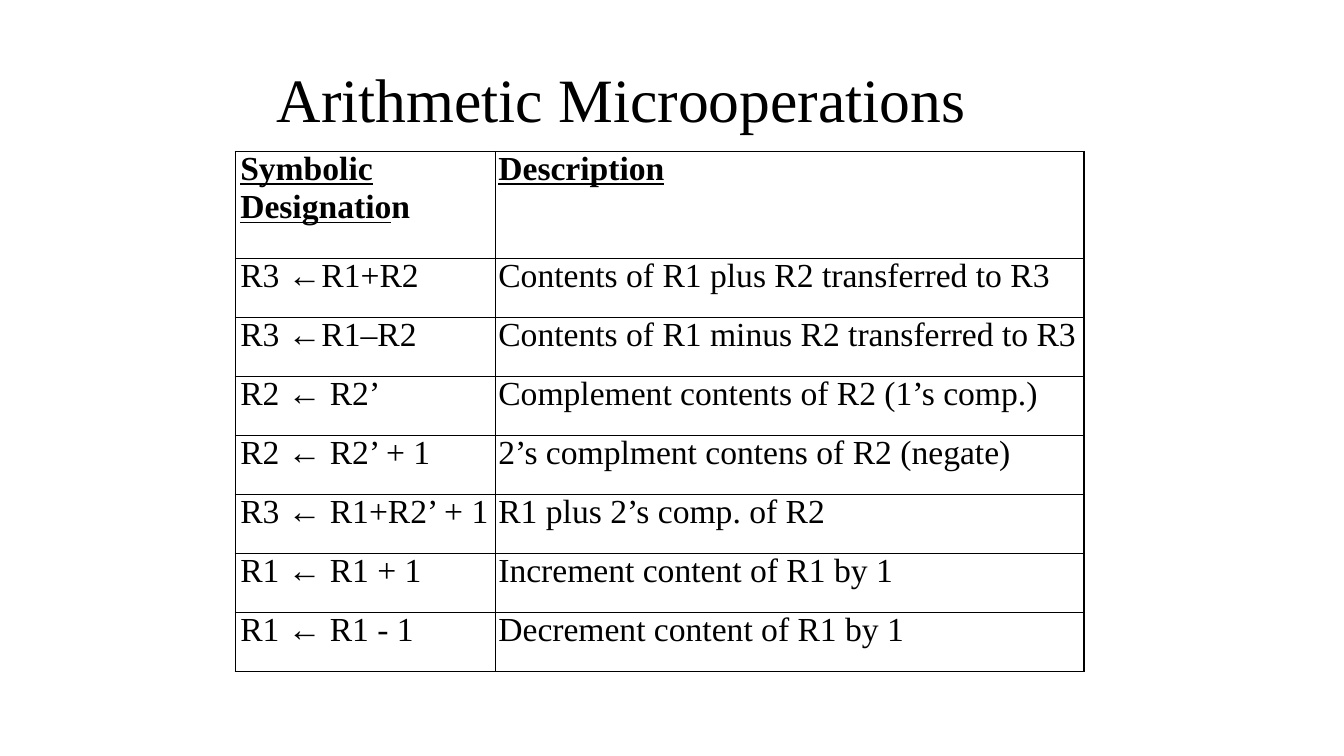
from lxml import etree
from pptx import Presentation
from pptx import util as u
from pptx.dml import color
from pptx.enum import text
from pptx.oxml import ns

FONT = "Times New Roman"
BLACK = "000000"
HEADER_HEIGHT, ROW_HEIGHT = 76.3, 42.2
COLUMN_WIDTHS = (185.8, 420.5)
COLUMN_INDENTS = (3.6, 2.2)
HEADERS = ("Symbolic\nDesignation", "Description")
OPERATIONS = (
    ("R3 ←R1+R2", "Contents of R1 plus R2 transferred to R3"),
    ("R3 ←R1–R2", "Contents of R1 minus R2 transferred to R3"),
    ("R2 ← R2’", "Complement contents of R2 (1’s comp.)"),
    ("R2 ← R2’ + 1", "2’s complment contens of R2 (negate)"),
    ("R3 ← R1+R2’ + 1", "R1 plus 2’s comp. of R2"),
    ("R1 ← R1 + 1", "Increment content of R1 by 1"),
    ("R1 ← R1 - 1", "Decrement content of R1 by 1"),
)


def set_color(target, hex_color):
    """Apply a hex colour to a font or a solid fill."""
    color_format = target.color if hasattr(target, "color") else target.fore_color
    color_format.rgb = color.RGBColor.from_string(hex_color)


def format_font(font, size):
    """Give a font the typeface, size and colour of the slide."""
    font.name, font.size = FONT, u.Pt(size)
    set_color(font, BLACK)


def add_title(slide, left, top, width, height):
    """Add the centred slide title."""
    frame = slide.shapes.add_textbox(u.Pt(left), u.Pt(top), u.Pt(width), u.Pt(height)).text_frame
    frame.word_wrap = True
    frame.vertical_anchor = text.MSO_ANCHOR.MIDDLE
    frame.margin_top = u.Pt(10.8)
    frame.text = "Arithmetic Microoperations"
    paragraph = frame.paragraphs[0]
    paragraph.alignment = text.PP_ALIGN.CENTER
    format_font(paragraph.runs[0].font, 44)


def add_borders(cell):
    """Draw a thin line on every side of a cell."""
    properties = cell._tc.get_or_add_tcPr()
    for side in ("lnL", "lnR", "lnT", "lnB"):
        line = etree.SubElement(properties, ns.qn(f"a:{side}"), w=str(u.Pt(0.96)))
        fill = etree.SubElement(line, ns.qn("a:solidFill"))
        etree.SubElement(fill, ns.qn("a:srgbClr"), val=BLACK)


def fill_cell(cell, content, indent, is_header):
    """Write and format the text of one cell."""
    add_borders(cell)
    cell.fill.background()
    cell.margin_left, cell.margin_top = u.Pt(indent), u.Pt(0.8)
    cell.margin_right = cell.margin_bottom = 0
    cell.text_frame.text = content
    for index, paragraph in enumerate(cell.text_frame.paragraphs):
        paragraph.line_spacing = 0.93
        if index:
            paragraph.space_before = u.Pt(2.9)
        for run in paragraph.runs:
            format_font(run.font, 24)
            run.font.bold = run.font.underline = is_header


def split_last_letter(paragraph):
    """Move the last letter into a bold run without underline."""
    underlined = paragraph.runs[0]
    last = paragraph.add_run()
    last.text = underlined.text[-1]
    underlined.text = underlined.text[:-1]
    format_font(last.font, 24)
    last.font.bold, last.font.underline = True, False


def add_operations_table(slide, left, top):
    """Add the table of microoperations at the given corner."""
    rows = (HEADERS, *OPERATIONS)
    width, height = sum(COLUMN_WIDTHS), HEADER_HEIGHT + ROW_HEIGHT * len(OPERATIONS)
    table = slide.shapes.add_table(
        len(rows), len(HEADERS), u.Pt(left), u.Pt(top), u.Pt(width), u.Pt(height)
    ).table
    table.first_row = table.horz_banding = False
    for column, column_width in zip(table.columns, COLUMN_WIDTHS):
        column.width = u.Pt(column_width)
    for row_index, contents in enumerate(rows):
        is_header = row_index == 0
        table.rows[row_index].height = u.Pt(HEADER_HEIGHT if is_header else ROW_HEIGHT)
        for column_index, content in enumerate(contents):
            cell = table.cell(row_index, column_index)
            fill_cell(cell, content, COLUMN_INDENTS[column_index], is_header)
    split_last_letter(table.cell(0, 0).text_frame.paragraphs[-1])


def main():
    """Build and save the slide."""
    presentation = Presentation()
    presentation.slide_width, presentation.slide_height = u.Pt(960), u.Pt(540)
    slide = presentation.slides.add_slide(presentation.slide_layouts[6])
    slide.background.fill.solid()
    set_color(slide.background.fill, "FFFFFF")
    add_title(slide, 120, 21.6, 648, 90)
    add_operations_table(slide, 168, 108.2)
    presentation.save("out.pptx")


if __name__ == "__main__":
    main()
